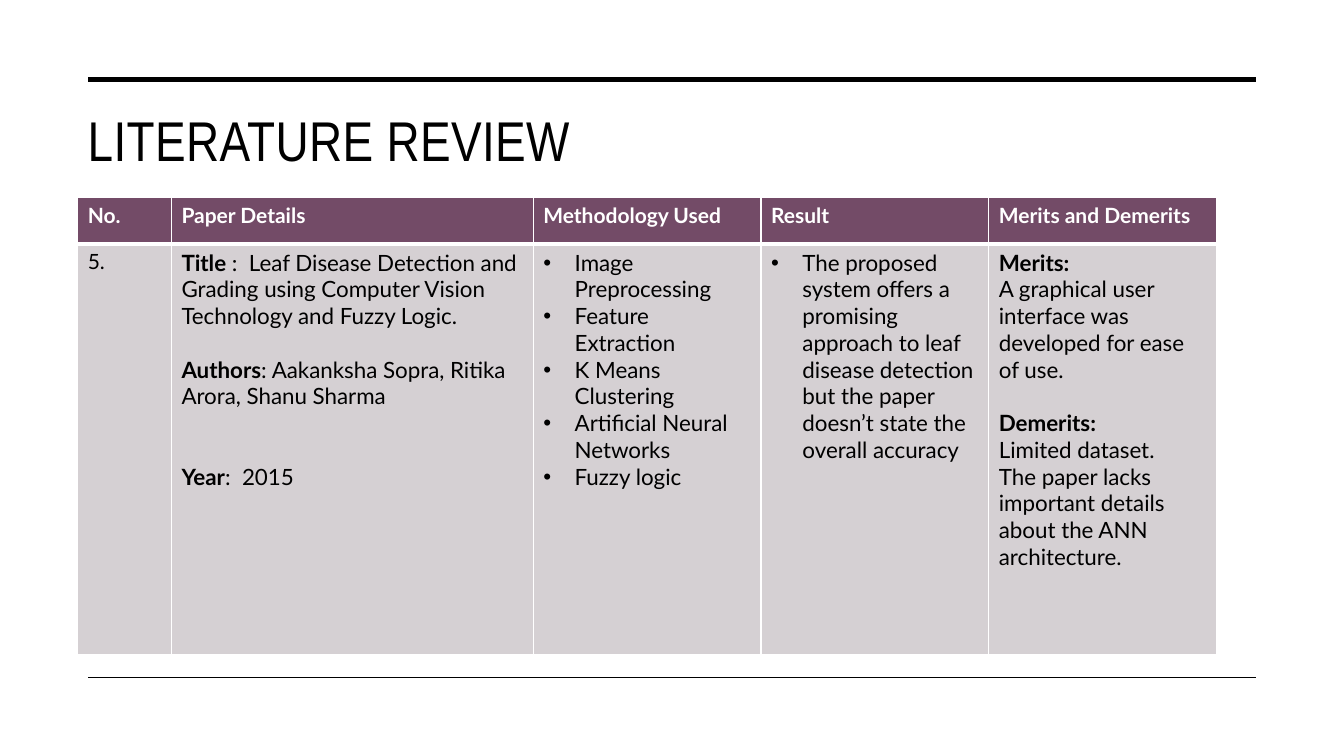
"""Build the literature review slide with its paper table."""
from lxml import etree
from pptx import Presentation
from pptx import util as u
from pptx.dml.color import RGBColor
from pptx.enum import shapes, text
from pptx.oxml import ns

BLACK = RGBColor(0x00, 0x00, 0x00)
WHITE = RGBColor(0xFF, 0xFF, 0xFF)
PLUM = RGBColor(0x73, 0x4B, 0x67)
MAUVE = RGBColor(0xD5, 0xD0, 0xD3)
LINE_GAP = 19.2
INDENT = u.Cm(0.79)

HEADINGS = ["No.", "Paper Details", "Methodology Used", "Result", "Merits and Demerits"]
NUMBER = [{"plain": "5.", "size": 15}]
DETAILS = [
    {"bold": "Title",
     "plain": " :  Leaf Disease Detection and Grading using Computer Vision "
              "Technology and Fuzzy Logic."},
    {"bold": "Authors", "plain": ": Aakanksha Sopra, Ritika Arora, Shanu Sharma",
     "before": LINE_GAP},
    {"bold": "Year", "plain": ":  2015", "before": 2 * LINE_GAP},
]
METHODS = [
    {"plain": method, "bullet": True}
    for method in ["Image Preprocessing", "Feature Extraction", "K Means Clustering",
                   "Artificial Neural Networks", "Fuzzy logic"]
]
RESULT = [{"plain": "The proposed system offers a promising approach to leaf disease "
                    "detection but the paper doesn’t state the overall accuracy",
           "bullet": True}]
MERITS = [
    {"bold": "Merits:"},
    {"plain": "A graphical user interface was developed for ease of use."},
    {"bold": "Demerits:", "before": LINE_GAP},
    {"plain": "Limited dataset."},
    {"plain": "The paper lacks important details about the ANN architecture."},
]


def write(paragraph, plain="", bold="", size=16, face="Lato", color=BLACK,
          before=0, bullet=False, spacing=None):
    """Fill a paragraph with an optional bold lead and plain wording."""
    if bullet:
        props = paragraph._p.get_or_add_pPr()
        props.set("marL", str(INDENT))
        props.set("indent", str(-INDENT))
        etree.SubElement(props, ns.qn("a:buFont"), typeface="Arial")
        etree.SubElement(props, ns.qn("a:buChar"), char="•")
    if before:
        paragraph.space_before = u.Pt(before)
    for wording, heavy in ((bold, True), (plain, False)):
        if wording:
            run = paragraph.add_run()
            run.text = wording
            run.font.name = face
            run.font.size = u.Pt(size)
            run.font.bold = heavy
            run.font.color.rgb = color
            if spacing:
                run._r.get_or_add_rPr().set("spc", str(spacing))


class ReviewSlide:
    """Hold the slide and its style."""

    def __init__(self, slide):
        self.slide = slide
        self.left = u.Cm(1.96)

    def rule(self, top, weight):
        """Draw a horizontal rule."""
        line = self.slide.shapes.add_connector(
            shapes.MSO_CONNECTOR.STRAIGHT, u.Cm(2.23), u.Cm(top), u.Cm(31.65), u.Cm(top))
        line.line.color.rgb = BLACK
        line.line.width = u.Pt(weight)
        etree.SubElement(line._element.spPr, ns.qn("a:effectLst"))

    def title(self, wording):
        """Add the slide title."""
        frame = self.slide.shapes.add_textbox(
            self.left, u.Cm(2.54), u.Cm(29.69), u.Cm(3.63)).text_frame
        frame.word_wrap = True
        frame.vertical_anchor = text.MSO_ANCHOR.TOP
        write(frame.paragraphs[0], wording, size=40, face="Arial Narrow", spacing=30)

    def cell(self, cell, paragraphs, fill, bottom):
        """Fill one table cell and draw its borders."""
        props = cell._tc.get_or_add_tcPr()
        for side, weight in (("L", 1), ("R", 1), ("T", 1), ("B", bottom)):
            border = etree.SubElement(props, ns.qn(f"a:ln{side}"), w=str(u.Pt(weight)))
            solid = etree.SubElement(border, ns.qn("a:solidFill"))
            etree.SubElement(solid, ns.qn("a:srgbClr"), val=str(WHITE))
        cell.fill.solid()
        cell.fill.fore_color.rgb = fill
        frame = cell.text_frame
        for index, style in enumerate(paragraphs):
            write(frame.add_paragraph() if index else frame.paragraphs[0], **style)

    def table(self, headings, entry):
        """Add the table with a heading row and one paper."""
        widths = [2.36, 9.12, 5.74, 5.74, 5.74]
        heights = [1.17, 10.34]
        table = self.slide.shapes.add_table(
            len(heights), len(widths), self.left, u.Cm(4.98),
            u.Cm(sum(widths)), u.Cm(sum(heights))).table
        table.horz_banding = False
        for row, height in zip(table.rows, heights):
            row.height = u.Cm(height)
        for index, width in enumerate(widths):
            table.columns[index].width = u.Cm(width)
            heading = [{"bold": headings[index], "size": 15, "color": WHITE}]
            self.cell(table.cell(0, index), heading, PLUM, 3)
            self.cell(table.cell(1, index), entry[index], MAUVE, 1)


def main():
    """Create and save the presentation."""
    deck = Presentation()
    deck.slide_width, deck.slide_height = u.Cm(33.87), u.Cm(19.05)
    review = ReviewSlide(deck.slides.add_slide(deck.slide_layouts[6]))
    review.rule(2.01, 3.5)
    review.rule(17.07, 1)
    review.title("LITERATURE REVIEW")
    review.table(HEADINGS, [NUMBER, DETAILS, METHODS, RESULT, MERITS])
    deck.save("out.pptx")


if __name__ == "__main__":
    main()
